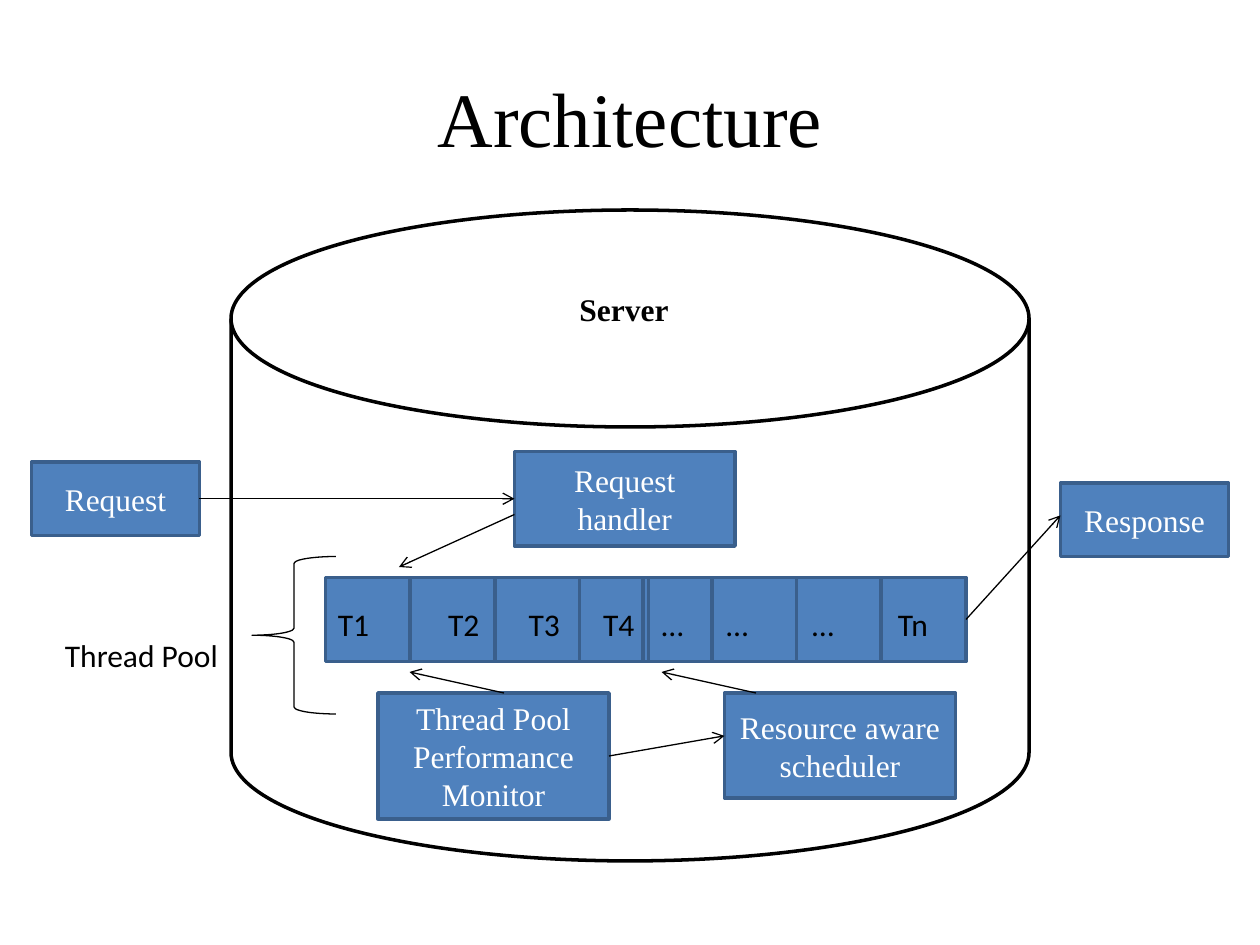
from dataclasses import dataclass

from lxml import etree
from pptx import Presentation
from pptx.dml.color import RGBColor
from pptx.enum.shapes import MSO_CONNECTOR, MSO_SHAPE
from pptx.enum.text import MSO_ANCHOR, PP_ALIGN
from pptx.oxml.ns import qn
from pptx.util import Pt

STRAIGHT = MSO_CONNECTOR.STRAIGHT
RECTANGLE = MSO_SHAPE.RECTANGLE
CYLINDER = MSO_SHAPE.FLOWCHART_MAGNETIC_DISK
BRACE = MSO_SHAPE.LEFT_BRACE
MIDDLE, TOP = MSO_ANCHOR.MIDDLE, MSO_ANCHOR.TOP
CENTER, LEFT = PP_ALIGN.CENTER, PP_ALIGN.LEFT


@dataclass(frozen=True)
class Theme:
    black: str = "000000"
    white: str = "FFFFFF"
    blue: str = "4F81BD"
    border: str = "3A5F8C"
    serif: str = "Times New Roman"
    sans: str = "Calibri"
    title_size: float = 44
    text_size: float = 18
    thick: float = 2
    thin: float = 0.75


THEME = Theme()

# Content: positions are left, top, width, height in points
TITLE = ("Architecture", (36, 21.6, 648, 90))
SERVER = (132, 120, 456, 372)
BRACE_AREA = (144, 318, 48, 90)
BOXES = [
    ("Request", (18, 264, 96, 42)),
    ("Thread Pool Performance Monitor", (216, 396, 132, 72)),
    ("Request handler", (294, 258, 126, 54)),
    ("Resource aware scheduler", (414, 396, 132, 60)),
    ("Response", (606, 276, 96, 42)),
]
LABELS = [
    ("Thread Pool", (30, 360, 120, 29), THEME.sans, False),
    ("Server", (324, 162, 84, 30), THEME.serif, True),
]
# The thread cells come from nested frames around one centre
POOL_CENTER, POOL_TOP, POOL_HEIGHT = 369, 330, 48
FRAME_WIDTHS = [366, 269.2, 172.4, 75.6, 3]
THREADS = ["T1", "T2", "T3", "T4", "…", "…", "…", "Tn"]
THREAD_AREA = (186, 342, 396, 29)
THREAD_STOPS = [63, 109, 151.5, 185, 222, 271, 320]
ARROWS = [
    ((114, 285), (294, 285)),
    ((552, 354), (606, 294.5)),
    ((294, 294), (228, 324)),
    ((348, 432), (414, 420.5)),
    ((432, 396), (378, 384)),
    ((288, 396), (234, 384)),
]


def points(values):
    return [Pt(value) for value in values]


def write(shape, text, *, font=THEME.serif, size=THEME.text_size,
          color=THEME.black, bold=False, align=CENTER, anchor=MIDDLE):
    frame = shape.text_frame
    frame.word_wrap = True
    frame.vertical_anchor = anchor
    para = frame.paragraphs[0]
    para.alignment = align
    span = para.add_run()
    span.text = text
    span.font.name, span.font.size, span.font.bold = font, Pt(size), bold
    span.font.color.rgb = RGBColor.from_string(color)
    return para


def add_shape(page, kind, area, *, fill=None, line, weight):
    shape = page.shapes.add_shape(kind, *points(area))
    shape.shadow.inherit = False
    if fill:
        shape.fill.solid()
        shape.fill.fore_color.rgb = RGBColor.from_string(fill)
    else:
        shape.fill.background()
    shape.line.color.rgb = RGBColor.from_string(line)
    shape.line.width = Pt(weight)
    return shape


def add_box(page, area):
    return add_shape(page, RECTANGLE, area, fill=THEME.blue,
                     line=THEME.border, weight=THEME.thick)


def add_label(page, text, area, **style):
    box = page.shapes.add_textbox(*points(area))
    return write(box, text, align=LEFT, anchor=TOP, **style)


def set_tab_stops(para, stops):
    tabs = etree.SubElement(para._p.get_or_add_pPr(), qn("a:tabLst"))
    for stop in stops:
        etree.SubElement(tabs, qn("a:tab"), pos=str(int(Pt(stop))), algn="l")


def add_arrow(page, start, end):
    arrow = page.shapes.add_connector(STRAIGHT, *points(start + end))
    arrow.line.color.rgb = RGBColor.from_string(THEME.black)
    arrow.line.width = Pt(THEME.thin)
    etree.SubElement(arrow.line._get_or_add_ln(), qn("a:tailEnd"), type="arrow")
    etree.SubElement(arrow._element.spPr, qn("a:effectLst"))


def main():
    deck = Presentation()
    deck.slide_width, deck.slide_height = Pt(720), Pt(540)
    page = deck.slides.add_slide(deck.slide_layouts[5])

    # Title
    text, area = TITLE
    title = page.shapes.title
    title.left, title.top, title.width, title.height = points(area)
    write(title, text, size=THEME.title_size)

    # Server and its thread cells
    add_shape(page, CYLINDER, SERVER, fill=THEME.white,
              line=THEME.black, weight=THEME.thick)
    for width in FRAME_WIDTHS:
        add_box(page, (POOL_CENTER - width / 2, POOL_TOP, width, POOL_HEIGHT))

    # Components
    for text, area in BOXES:
        write(add_box(page, area), text, color=THEME.white)

    # Labels and brace
    threads = add_label(page, "\t".join(THREADS), THREAD_AREA, font=THEME.sans)
    set_tab_stops(threads, THREAD_STOPS)
    add_shape(page, BRACE, BRACE_AREA, line=THEME.black, weight=THEME.thin)
    for text, area, font, bold in LABELS:
        add_label(page, text, area, font=font, bold=bold)

    # Flow
    for start, end in ARROWS:
        add_arrow(page, start, end)

    deck.save("out.pptx")


if __name__ == "__main__":
    main()
